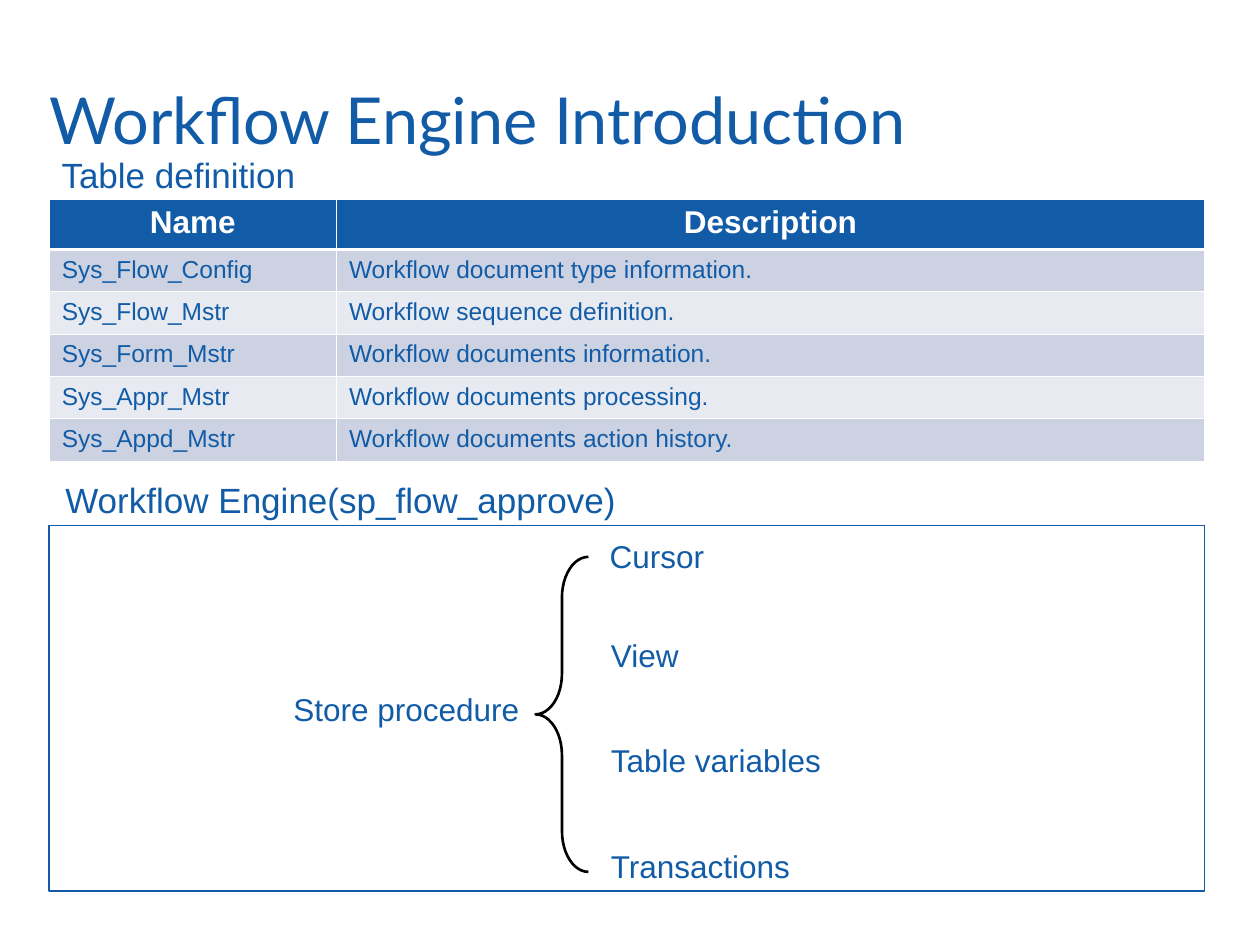
from lxml import etree
from pptx import Presentation
from pptx.dml.color import RGBColor
from pptx.enum.shapes import MSO_SHAPE
from pptx.enum.text import PP_ALIGN
from pptx.oxml.ns import qn
from pptx.util import Inches, Pt

RECTANGLE = MSO_SHAPE.RECTANGLE
LEFT_BRACE = MSO_SHAPE.LEFT_BRACE
LEFT = PP_ALIGN.LEFT
CENTER = PP_ALIGN.CENTER

BLUE = RGBColor(0x12, 0x5C, 0xA7)
WHITE = RGBColor(0xFF, 0xFF, 0xFF)
BLACK = RGBColor(0, 0, 0)
BANDS = (RGBColor(0xCC, 0xD2, 0xE1), RGBColor(0xE7, 0xEA, 0xF1))

MARGIN = 0.39
CONTENT_WIDTH = 9.17
HEADER_HEIGHT = 0.4
BODY_HEIGHT = 1.68
THIN = 0.45
THICK = 1.47

TABLE_ROWS = [
    ("Name", "Description"),
    ("Sys_Flow_Config", "Workflow document type information."),
    ("Sys_Flow_Mstr", "Workflow sequence definition."),
    ("Sys_Form_Mstr", "Workflow documents information."),
    ("Sys_Appr_Mstr", "Workflow documents processing."),
    ("Sys_Appd_Mstr", "Workflow documents action history."),
]

LABELS = [
    ("Table definition", 0.39, 1.17, 3, 0.44, 20),
    ("Workflow Engine(sp_flow_approve)", 0.42, 3.75, 6, 0.44, 20),
    ("Store procedure", 2.23, 5.43, 2.02, 0.4, 18),
    ("Cursor", 4.74, 4.21, 1.09, 0.4, 18),
    ("View", 4.75, 5, 0.75, 0.4, 18),
    ("Table variables", 4.75, 5.83, 2, 0.4, 18),
    ("Transactions", 4.75, 6.67, 2, 0.4, 18),
]


def style_text(paragraph, size, color=BLUE, name="Arial", bold=False, align=LEFT):
    paragraph.alignment = align
    font = paragraph.runs[0].font
    font.name = name
    font.size = Pt(size)
    font.bold = bold
    font.color.rgb = color


def add_title(slide, text):
    title = slide.shapes.add_textbox(
        Inches(MARGIN), Inches(0.7), Inches(CONTENT_WIDTH), Inches(0.56)
    )
    frame = title.text_frame
    frame.word_wrap = True
    frame.margin_left = frame.margin_right = 0
    frame.margin_top = frame.margin_bottom = 0
    frame.text = text
    frame.paragraphs[0].line_spacing = 0.9
    style_text(frame.paragraphs[0], 37, name="Lato")


def add_label(slide, text, left, top, width, height, size):
    label = slide.shapes.add_textbox(
        Inches(left), Inches(top), Inches(width), Inches(height)
    )
    label.text_frame.word_wrap = False
    label.text_frame.text = text
    style_text(label.text_frame.paragraphs[0], size)


def set_borders(cell, top, bottom):
    properties = cell._tc.get_or_add_tcPr()
    sides = (("lnL", THIN), ("lnR", THIN), ("lnT", top), ("lnB", bottom))
    for position, (side, width) in enumerate(sides):
        border = etree.Element(qn(f"a:{side}"), w=str(Pt(width)))
        fill = etree.SubElement(border, qn("a:solidFill"))
        etree.SubElement(fill, qn("a:srgbClr"), val=str(WHITE))
        properties.insert(position, border)


def add_definition_table(slide):
    table = slide.shapes.add_table(
        len(TABLE_ROWS), 2, Inches(MARGIN), Inches(1.58),
        Inches(CONTENT_WIDTH), Inches(HEADER_HEIGHT + BODY_HEIGHT),
    ).table
    table.columns[0].width = Inches(2.28)
    table.columns[1].width = Inches(CONTENT_WIDTH - 2.28)
    body_row_height = Inches(BODY_HEIGHT / (len(TABLE_ROWS) - 1))
    for row, texts in enumerate(TABLE_ROWS):
        is_header = row == 0
        table.rows[row].height = Inches(HEADER_HEIGHT) if is_header else body_row_height
        for column, text in enumerate(texts):
            cell = table.cell(row, column)
            cell.text = text
            cell.fill.solid()
            cell.fill.fore_color.rgb = BLUE if is_header else BANDS[(row - 1) % 2]
            set_borders(cell, THICK if row == 1 else THIN, THICK if is_header else THIN)
            paragraph = cell.text_frame.paragraphs[0]
            if is_header:
                style_text(paragraph, 18, WHITE, bold=True, align=CENTER)
            else:
                style_text(paragraph, 14)


def add_outline(slide, preset, left, top, width, height, color, weight):
    outline = slide.shapes.add_shape(
        preset, Inches(left), Inches(top), Inches(width), Inches(height)
    )
    outline.shadow.inherit = False
    outline.fill.background()
    outline.line.color.rgb = color
    outline.line.width = Pt(weight)
    return outline


def main():
    presentation = Presentation()
    presentation.slide_width = Inches(10)
    presentation.slide_height = Inches(7.5)
    slide = presentation.slides.add_slide(presentation.slide_layouts[6])

    add_title(slide, "Workflow Engine Introduction")
    add_definition_table(slide)
    for label in LABELS:
        add_label(slide, *label)
    brace = add_outline(slide, LEFT_BRACE, 4.25, 4.42, 0.42, 2.5, BLACK, 1.5)
    brace.adjustments[0] = 0.77
    add_outline(slide, RECTANGLE, MARGIN, 4.17, CONTENT_WIDTH, 2.9, BLUE, 1)

    presentation.save("out.pptx")


if __name__ == "__main__":
    main()
